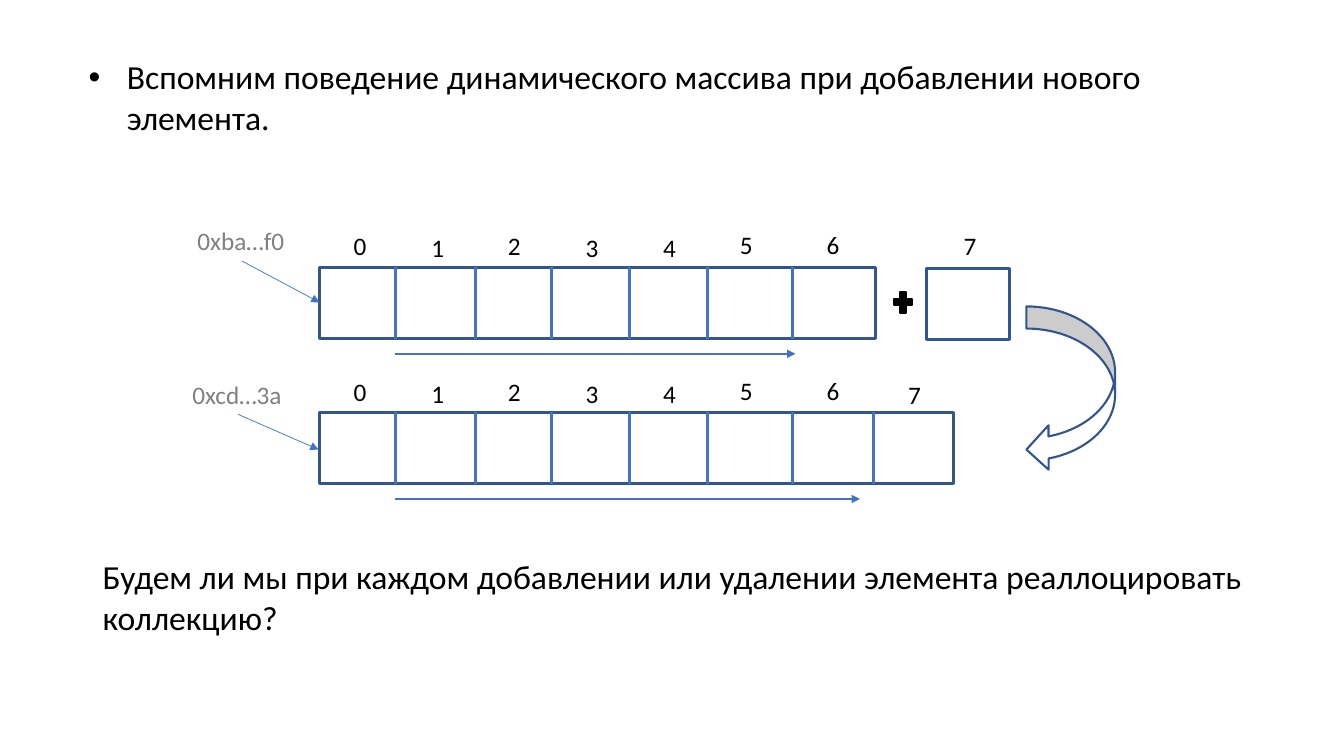
from lxml import etree
from pptx import Presentation
from pptx.dml.color import RGBColor
from pptx.enum.shapes import MSO_CONNECTOR, MSO_SHAPE
from pptx.enum.text import MSO_AUTO_SIZE
from pptx.oxml.ns import qn
from pptx.util import Inches, Pt

STRAIGHT = MSO_CONNECTOR.STRAIGHT
RECTANGLE = MSO_SHAPE.RECTANGLE
PLUS = MSO_SHAPE.MATH_PLUS
CURVED_ARROW = MSO_SHAPE.CURVED_LEFT_ARROW
FIT_SHAPE = MSO_AUTO_SIZE.SHAPE_TO_FIT_TEXT

BLACK, WHITE, GRAY = "000000", "FFFFFF", "808080"
BLUE, DARK_BLUE, NEW_CELL_BLUE = "4472C4", "325491", "2F5597"
ARRAY_LEFT, CELL_HEIGHT = 3.17, 0.71
DIVIDERS = [3.92, 4.72, 5.47, 6.24, 7.02, 7.86]
INDEX_LEFTS = [3.41, 4.18, 4.94, 5.71, 6.48, 7.24, 8.1, 8.91]
INDEX_RISES = [0.41, 0.39, 0.41, 0.39, 0.39, 0.42, 0.42, 0.38]


def color(value):
    """Turn a hex string into a colour."""
    return RGBColor.from_string(value)


def set_values(target, values):
    """Set attributes from a dict."""
    for name, value in values.items():
        setattr(target, name, value)


def add_text(slide, text, box, size=18, font_color=BLACK, wrap=False, space=0):
    """Add a text box and return its paragraph."""
    shape = slide.shapes.add_textbox(*map(Inches, box))
    set_values(shape.text_frame, {"word_wrap": wrap, "auto_size": FIT_SHAPE})
    paragraph = shape.text_frame.paragraphs[0]
    paragraph.space_before = Pt(space)
    run = paragraph.add_run()
    run.text = text
    set_values(run.font, {"name": "Calibri", "size": Pt(size)})
    run.font.color.rgb = color(font_color)
    return paragraph


def add_bullet(paragraph):
    """Give a paragraph a round bullet and a hanging indent."""
    properties = paragraph._p.get_or_add_pPr()
    properties.set("marL", str(Inches(0.38)))
    properties.set("indent", str(Inches(-0.38)))
    etree.SubElement(properties, qn("a:buFont"), typeface="Arial")
    etree.SubElement(properties, qn("a:buChar"), char="•")


def add_block(slide, kind, box, fill=WHITE, line=DARK_BLUE, width=2.25):
    """Add a filled and outlined preset shape."""
    shape = slide.shapes.add_shape(kind, *map(Inches, box))
    shape.shadow.inherit = False
    shape.fill.solid()
    shape.fill.fore_color.rgb = color(fill)
    shape.line.color.rgb = color(line)
    shape.line.width = Pt(width)


def add_line(slide, start, end, width=2.25, arrow=False):
    """Add a blue straight line, with an arrowhead if wanted."""
    connector = slide.shapes.add_connector(STRAIGHT, *map(Inches, start + end))
    connector.line.color.rgb = color(BLUE)
    connector.line.width = Pt(width)
    if arrow:
        outline = connector.line._get_or_add_ln()
        etree.SubElement(outline, qn("a:tailEnd"), type="triangle")
    etree.SubElement(connector._element.spPr, qn("a:effectLst"))


def add_array(slide, top, width, dividers, arrow_end):
    """Add an array with cell dividers, indices and a traversal arrow."""
    add_block(slide, RECTANGLE, (ARRAY_LEFT, top, width, CELL_HEIGHT))
    for left in dividers:
        add_line(slide, (left, top), (left, top + CELL_HEIGHT))
    arrow_top = top + 0.86
    add_line(slide, (dividers[0], arrow_top), (arrow_end, arrow_top), 1.5, True)
    cells = zip(INDEX_LEFTS[:len(dividers) + 1], INDEX_RISES)
    for index, (left, rise) in enumerate(cells):
        add_text(slide, str(index), (left, top - rise, 0.33, 0.4))


def add_address(slide, text, box, start, end):
    """Add a memory address with an arrow to the first cell."""
    add_text(slide, text, box, font_color=GRAY)
    add_line(slide, start, end, 0.5, True)


def main():
    """Build the slide and save it."""
    presentation = Presentation()
    set_values(presentation, {"slide_width": Inches(13.33), "slide_height": Inches(7.5)})
    slide = presentation.slides.add_slide(presentation.slide_layouts[6])

    intro = "Вспомним поведение динамического массива при добавлении нового элемента."
    add_bullet(add_text(slide, intro, (0.78, 0.51, 11.77, 0.91), 24, wrap=True, space=12))

    add_array(slide, 2.65, 5.51, DIVIDERS, 7.89)
    add_block(slide, PLUS, (8.83, 2.86, 0.25, 0.28), BLACK, BLACK, 1.5)
    add_block(slide, RECTANGLE, (9.19, 2.66, 0.82, CELL_HEIGHT), line=NEW_CELL_BLUE)
    add_text(slide, "7", (9.46, 2.24, 0.33, 0.4))
    add_block(slide, CURVED_ARROW, (10.18, 3.04, 0.88, 1.64), width=1.5)
    add_array(slide, 4.09, 6.29, DIVIDERS + [8.66], 8.53)

    add_address(slide, "0xba…f0", (1.86, 2.19, 1.07, 0.4), (2.4, 2.59), (3.17, 3))
    add_address(slide, "0xcd…3a", (1.81, 3.71, 1.1, 0.4), (2.36, 4.11), (3.16, 4.46))

    question = "Будем ли мы при каждом добавлении или удалении элемента реаллоцировать коллекцию?"
    add_text(slide, question, (0.92, 5.47, 11.77, 0.91), 24, wrap=True, space=12)
    presentation.save("out.pptx")


main()
